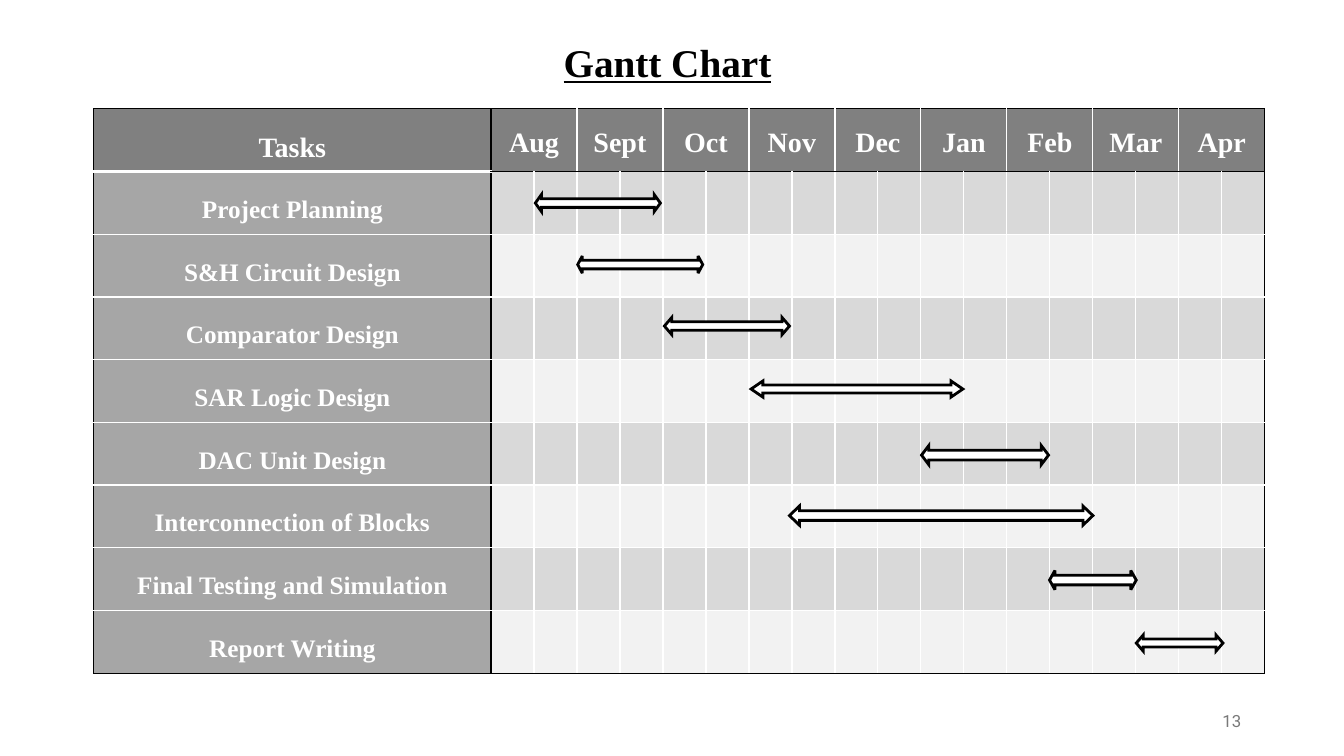
from dataclasses import dataclass
from lxml.etree import SubElement
from pptx import Presentation
from pptx.dml.color import RGBColor
from pptx.enum.shapes import MSO_SHAPE
from pptx.enum.text import MSO_ANCHOR, MSO_AUTO_SIZE, PP_ALIGN
from pptx.oxml.ns import qn
from pptx.util import Inches, Pt


@dataclass
class Theme:
    serif: str = "Times New Roman"
    sans: str = "Roboto"
    black: str = "000000"
    white: str = "FFFFFF"
    head: str = "808080"
    label: str = "A6A6A6"
    odd: str = "D9D9D9"
    even: str = "F2F2F2"
    number: str = "797979"
    title_size: int = 28
    head_size: int = 20
    label_size: int = 18
    number_size: int = 12


theme = Theme()


def write(frame, text, size, color, align, font=theme.serif, bold=True):
    frame.text = text
    par = frame.paragraphs[0]
    par.alignment = align
    face = par.runs[0].font
    face.name, face.size, face.bold = font, Pt(size), bold
    face.color.rgb = RGBColor.from_string(color)
    return par


def border(cell, side, color, width=1):
    line = SubElement(cell._tc.get_or_add_tcPr(), qn("a:ln" + side), w=str(Pt(width)))
    fill = SubElement(line, qn("a:solidFill"))
    SubElement(fill, qn("a:srgbClr"), val=color)


prs = Presentation()
prs.slide_width, prs.slide_height = Inches(13.33), Inches(7.5)
slide = prs.slides.add_slide(prs.slide_layouts[5])

# Title
title = slide.shapes.title
title.left, title.top = Inches(1.83), Inches(0.33)
title.width, title.height = Inches(9.58), Inches(0.57)
frame = title.text_frame
par = write(frame, "Gantt Chart", theme.title_size, theme.black, PP_ALIGN.CENTER)
par.runs[0].font.underline = True
frame.auto_size = MSO_AUTO_SIZE.NONE
frame.vertical_anchor = MSO_ANCHOR.TOP
frame.margin_top = Inches(0.05)

# Slide number
box = slide.shapes.add_textbox(Inches(9.41), Inches(6.95), Inches(3), Inches(0.4))
box.text_frame.word_wrap = True
box.text_frame.vertical_anchor = MSO_ANCHOR.MIDDLE
write(box.text_frame, "13", theme.number_size, theme.number, PP_ALIGN.RIGHT, theme.sans, False)

# Schedule: task, arrow left, top, width, height and head length
months = ["Aug", "Sept", "Oct", "Nov", "Dec", "Jan", "Feb", "Mar", "Apr"]
tasks = [
    ("Project Planning", 5.31, 1.93, 1.24, 0.17, 0.36),
    ("S&H Circuit Design", 5.73, 2.54, 1.24, 0.17, 0.27),
    ("Comparator Design", 6.59, 3.15, 1.24, 0.17, 0.43),
    ("SAR Logic Design", 7.45, 3.78, 2.1, 0.16, 0.73),
    ("DAC Unit Design", 9.14, 4.42, 1.26, 0.19, 0.38),
    ("Interconnection of Blocks", 7.83, 5.02, 3.01, 0.19, 0.52),
    ("Final Testing and Simulation", 10.41, 5.66, 0.86, 0.19, 0.28),
    ("Report Writing", 11.27, 6.3, 0.86, 0.16, 0.43),
]

# Table grid: one label column, two half-month columns per month
last_row, last_col = len(tasks), 2 * len(months)
width, height, first = 11.62, 5.6, 3.94
table = slide.shapes.add_table(last_row + 1, last_col + 1, Inches(0.93), Inches(1.08),
                               Inches(width), Inches(height)).table
table.first_row = table.horz_banding = False
for col, column in enumerate(table.columns):
    column.width = Inches((width - first) / last_col if col else first)
for col in range(1, last_col, 2):
    table.cell(0, col).merge(table.cell(0, col + 1))

# Cell fills and borders
for row in range(last_row + 1):
    for col in range(last_col + 1):
        cell = table.cell(row, col)
        end = col + (cell.span_width - 1 if cell.is_merge_origin else 0)
        dark = {
            "L": col < 2,
            "R": end in (0, last_col),
            "T": row == 0 or row == 1 and col > 0,
            "B": row == last_row or row == 0 and col > 0,
        }
        for side, black in dark.items():
            thick = 3 if (row, col, side) in ((0, 0, "B"), (1, 0, "T")) else 1
            border(cell, side, theme.black if black else theme.white, thick)
        band = theme.odd if row % 2 else theme.even
        color = theme.head if row == 0 else theme.label if col == 0 else band
        cell.fill.solid()
        cell.fill.fore_color.rgb = RGBColor.from_string(color)

# Table text
words = [(0, 0, "Tasks")]
words += [(0, 2 * i + 1, month) for i, month in enumerate(months)]
words += [(i, 0, task[0]) for i, task in enumerate(tasks, 1)]
for row, col, text in words:
    cell = table.cell(row, col)
    cell.vertical_anchor = MSO_ANCHOR.MIDDLE
    cell.margin_left = cell.margin_right = Inches(0.04)
    cell.margin_top = cell.margin_bottom = 0
    size = theme.label_size if row else theme.head_size
    par = write(cell.text_frame, text, size, theme.white, PP_ALIGN.CENTER)
    par.line_spacing = 1.15 if col else 1.5
    par.space_after = Pt(10)

# Task arrows with sharp corners
for _, left, top, wide, high, tip in tasks:
    arrow = slide.shapes.add_shape(MSO_SHAPE.LEFT_RIGHT_ARROW, Inches(left), Inches(top),
                                   Inches(wide), Inches(high))
    arrow.adjustments[1] = tip
    arrow.shadow.inherit = False
    arrow.fill.solid()
    arrow.fill.fore_color.rgb = RGBColor.from_string(theme.white)
    arrow.line.color.rgb = RGBColor.from_string(theme.black)
    arrow.line.width = Pt(2)
    SubElement(arrow.line._get_or_add_ln(), qn("a:miter"), lim="800000")

prs.save("out.pptx")
